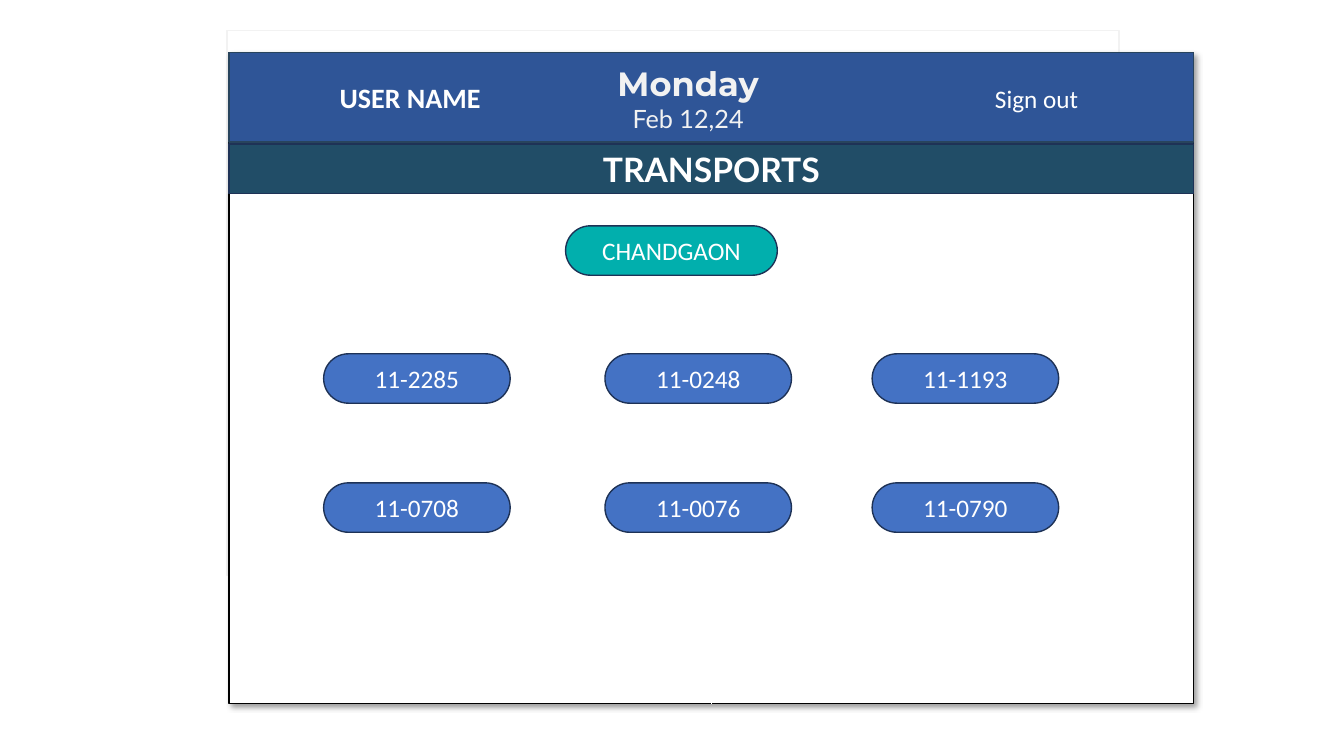
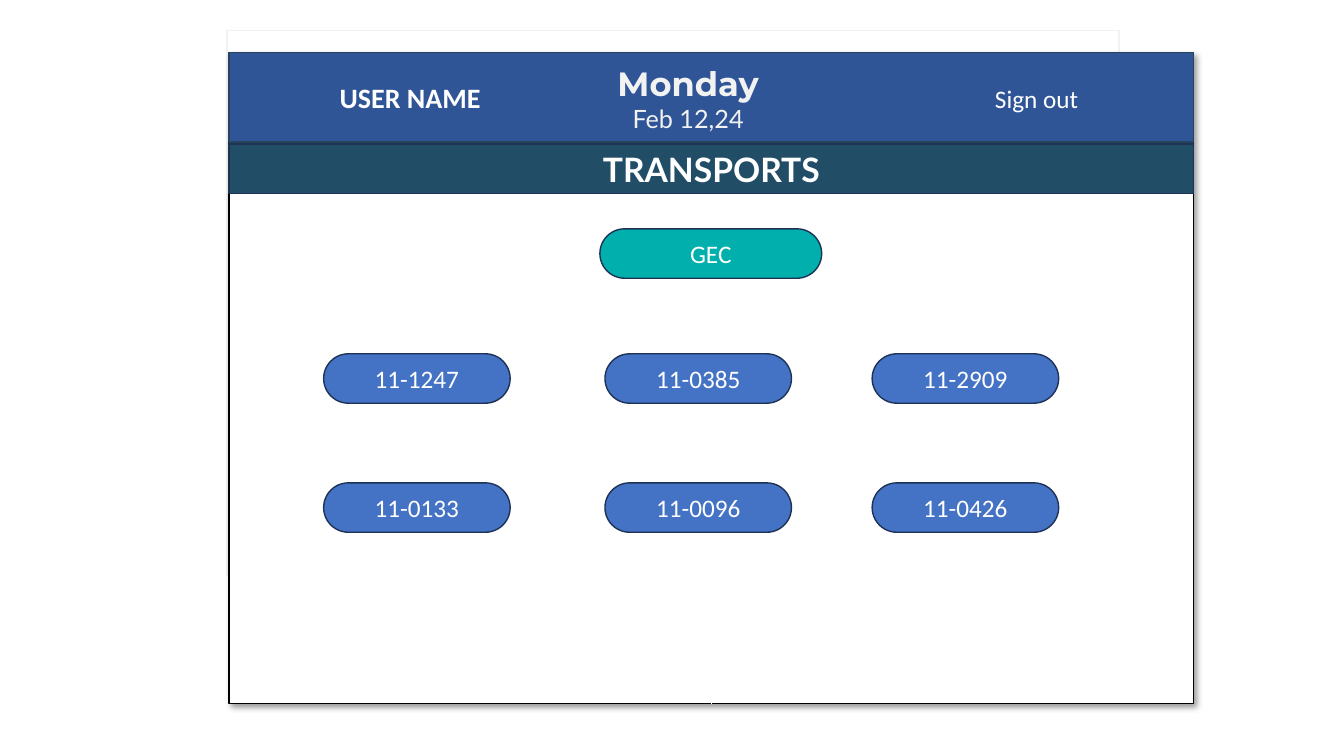
import pptx
import pptx.dml.color
import pptx.enum.shapes
import pptx.enum.text
import pptx.oxml
import pptx.oxml.ns
import pptx.util

Inches = pptx.util.Inches
Pt = pptx.util.Pt
RGBColor = pptx.dml.color.RGBColor
Shapes = pptx.enum.shapes.MSO_SHAPE
Align = pptx.enum.text.PP_ALIGN

# Colours
WHITE = RGBColor(0xFF, 0xFF, 0xFF)
BLACK = RGBColor(0, 0, 0)
PALE_GREY = RGBColor(0xF2, 0xF2, 0xF2)
HEADER_BLUE = RGBColor(0x2F, 0x55, 0x97)
HEADER_EDGE = RGBColor(0x28, 0x44, 0x5D)
TITLE_TEAL = RGBColor(0x21, 0x4D, 0x67)
NAVY = RGBColor(0x1E, 0x32, 0x56)
BUTTON_BLUE = RGBColor(0x44, 0x72, 0xC4)
AREA_TEAL = RGBColor(0x01, 0xAF, 0xAD)

# Layout, in inches
PANEL_LEFT, PANEL_TOP, PANEL_WIDTH, PANEL_HEIGHT = 2.27, 0.52, 9.57, 6.46
HEADER_HEIGHT = 0.89
BUTTON_WIDTH, BUTTON_HEIGHT = 1.85, 0.49
BUTTON_COLUMNS = (3.21, 6, 8.65)
BUTTON_TOP, ROW_STEP = 3.51, 1.28
HEADER_TABS = (1, 7.5)

# Area name, area button left, top and width, vehicle numbers row by row
AREAS = (
    ("CHANDGAON", (5.61, 2.24, 2.1),
     ("11-2285", "11-0248", "11-1193", "11-0708", "11-0076", "11-0790")),
    ("GEC", (5.95, 2.27, 2.2),
     ("11-1247", "11-0385", "11-2909", "11-0133", "11-0096", "11-0426")),
)


def add_run(paragraph, text, size=18, font="Calibri", color=WHITE, bold=False):
    run = paragraph.add_run()
    run.text = text
    run.font.size = Pt(size)
    run.font.name = font
    run.font.color.rgb = color
    run.font.bold = bold


def first_paragraph(shape, alignment=Align.CENTER):
    frame = shape.text_frame
    frame.word_wrap = True
    frame.vertical_anchor = pptx.enum.text.MSO_ANCHOR.MIDDLE
    frame.paragraphs[0].alignment = alignment
    return frame.paragraphs[0]


def add_box(slide, left, top, width, height, fill, line, kind=Shapes.RECTANGLE):
    shape = slide.shapes.add_shape(
        kind, Inches(left), Inches(top), Inches(width), Inches(height))
    shape.shadow.inherit = False
    shape.fill.solid()
    shape.fill.fore_color.rgb = fill
    shape.line.color.rgb = line
    shape.line.width = Pt(1)
    return shape


def add_button(slide, text, left, top, width, fill):
    button = add_box(slide, left, top, width, BUTTON_HEIGHT, fill, NAVY,
                     Shapes.ROUNDED_RECTANGLE)
    button.adjustments[0] = 0.5
    add_run(first_paragraph(button), text)


def add_drop_shadow(shape):
    effects = shape._element.spPr.find(pptx.oxml.ns.qn("a:effectLst"))
    effects.append(pptx.oxml.parse_xml(
        f'<a:outerShdw {pptx.oxml.ns.nsdecls("a")} blurRad="{Pt(4)}" '
        f'dist="{Pt(3)}" dir="2700000" algn="tl" rotWithShape="0">'
        '<a:srgbClr val="000000"><a:alpha val="40000"/></a:srgbClr>'
        '</a:outerShdw>'))


def add_tab_stops(paragraph, positions):
    stops = "".join(f'<a:tab pos="{Inches(position)}" algn="l"/>'
                    for position in positions)
    paragraph._p.get_or_add_pPr().append(pptx.oxml.parse_xml(
        f'<a:tabLst {pptx.oxml.ns.nsdecls("a")}>{stops}</a:tabLst>'))


def add_panel(slide):
    # Back sheet, main panel and its centre line
    add_box(slide, 2.25, 0.3, 8.85, 5.41, WHITE, PALE_GREY)
    panel = add_box(slide, PANEL_LEFT, PANEL_TOP, PANEL_WIDTH, PANEL_HEIGHT,
                    WHITE, BLACK)
    add_drop_shadow(panel)
    center = Inches(7.06)
    divider = slide.shapes.add_connector(
        pptx.enum.shapes.MSO_CONNECTOR.STRAIGHT, center, Inches(PANEL_TOP),
        center, Inches(PANEL_TOP + PANEL_HEIGHT))
    divider.line.color.rgb = WHITE
    divider.line.width = Pt(0.5)
    divider._element.spPr.append(pptx.oxml.parse_xml(
        f'<a:effectLst {pptx.oxml.ns.nsdecls("a")}/>'))


def add_header(slide):
    # User bar
    bar = add_box(slide, PANEL_LEFT, PANEL_TOP, PANEL_WIDTH, HEADER_HEIGHT,
                  HEADER_BLUE, HEADER_EDGE)
    paragraph = first_paragraph(bar, Align.LEFT)
    add_tab_stops(paragraph, HEADER_TABS)
    add_run(paragraph, "\tUSER NAME", size=20, bold=True)
    add_run(paragraph, "\tSign out")

    # Date
    date = slide.shapes.add_textbox(
        Inches(5.54), Inches(0.53), Inches(2.57), Inches(HEADER_HEIGHT))
    add_run(first_paragraph(date), "Monday", size=24, font="Montserrat",
            color=PALE_GREY, bold=True)
    paragraph = date.text_frame.add_paragraph()
    paragraph.alignment = Align.CENTER
    add_run(paragraph, "Feb 12,24", font="Lato", color=PALE_GREY)

    # Title band
    band = add_box(slide, PANEL_LEFT, 1.43, PANEL_WIDTH, 0.49, TITLE_TEAL, NAVY)
    add_run(first_paragraph(band), "TRANSPORTS", size=24, font="Lato", bold=True)


def add_vehicle_buttons(slide, numbers):
    for index, number in enumerate(numbers):
        row, column = divmod(index, len(BUTTON_COLUMNS))
        add_button(slide, number, BUTTON_COLUMNS[column],
                   BUTTON_TOP + row * ROW_STEP, BUTTON_WIDTH, BUTTON_BLUE)


def main():
    presentation = pptx.Presentation()
    presentation.slide_width = Inches(13.33)
    presentation.slide_height = Inches(7.5)
    for area, (left, top, width), numbers in AREAS:
        slide = presentation.slides.add_slide(presentation.slide_layouts[6])
        add_panel(slide)
        add_header(slide)
        add_vehicle_buttons(slide, numbers)
        add_button(slide, area, left, top, width, AREA_TEAL)
    presentation.save("out.pptx")


if __name__ == "__main__":
    main()
